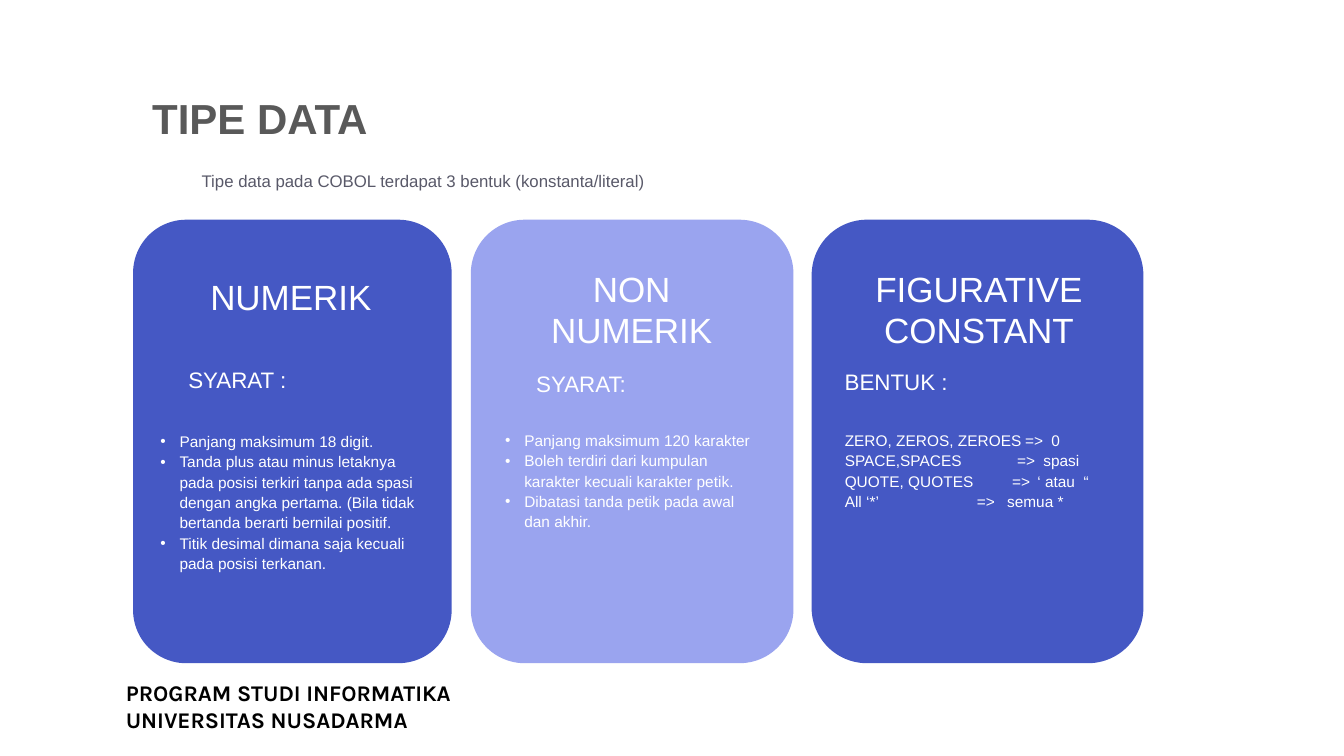
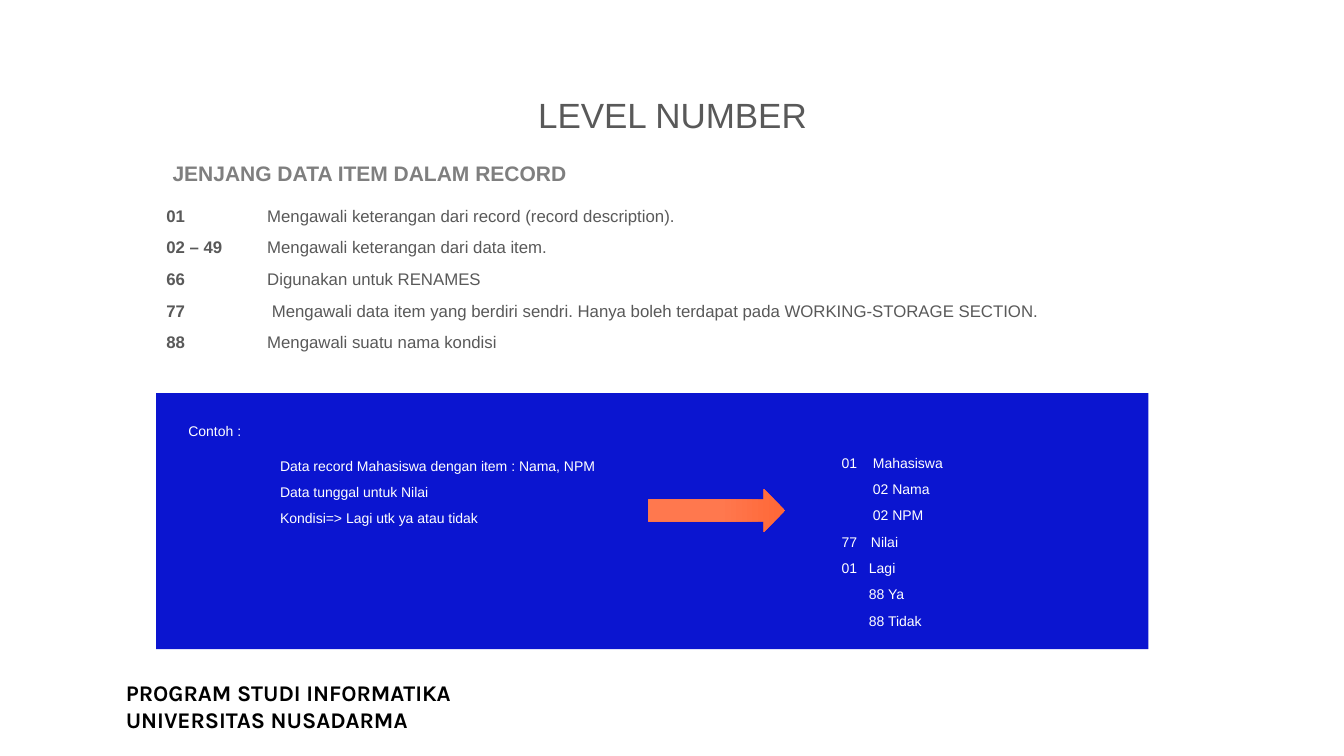
from lxml.etree import SubElement
from pptx import Presentation
from pptx.dml.color import RGBColor
from pptx.enum.shapes import MSO_SHAPE
from pptx.enum.text import MSO_ANCHOR, MSO_AUTO_SIZE, PP_ALIGN
from pptx.oxml.ns import qn
from pptx.util import Inches, Pt

WHITE = RGBColor(255, 255, 255)
BLACK = RGBColor(0, 0, 0)
GRAY = RGBColor(0x59, 0x59, 0x59)
SLATE = RGBColor(0x59, 0x59, 0x69)
SILVER = RGBColor(0x7F, 0x7F, 0x7F)
INDIGO = RGBColor(0x45, 0x58, 0xC4)
LILAC = RGBColor(0x9A, 0xA4, 0xEF)
BLUE = RGBColor(0x0B, 0x15, 0xD0)
ORANGE = RGBColor(0xFF, 0x67, 0x37)
PEACH = RGBColor(0xFF, 0x78, 0x4E)

FOOTER = ["PROGRAM STUDI INFORMATIKA", "UNIVERSITAS NUSADARMA"]
INTRO = "Tipe data pada COBOL terdapat 3 bentuk (konstanta/literal)"

CARDS = [
    {"left": 1.32, "width": 3.16, "fill": INDIGO,
     "head": ("NUMERIK", (1.9, 2.68, 1.97, 0.52)),
     "sub": ("SYARAT :", (1.77, 3.58, 1.73, 0.37)),
     "area": (1.49, 4.22, 2.78, 2.28),
     "list": [
         "Panjang maksimum 18 digit.",
         "Tanda plus atau minus letaknya pada posisi terkiri tanpa ada spasi "
         "dengan angka pertama. (Bila tidak bertanda berarti bernilai positif.",
         "Titik desimal dimana saja kecuali pada posisi terkanan."]},
    {"left": 4.67, "width": 3.2, "fill": LILAC,
     "head": ("NON NUMERIK", (5.08, 2.6, 2.37, 0.94)),
     "sub": ("SYARAT:", (5.22, 3.62, 1.73, 0.37)),
     "area": (4.91, 4.21, 2.75, 1.47),
     "list": [
         "Panjang maksimum 120 karakter",
         "Boleh terdiri dari kumpulan karakter kecuali karakter petik.",
         "Dibatasi tanda petik pada awal dan akhir."]},
    {"left": 8.05, "width": 3.29, "fill": INDIGO,
     "head": ("FIGURATIVE CONSTANT", (8.28, 2.6, 2.86, 0.94)),
     "sub": ("BENTUK :", (8.28, 3.6, 1.73, 0.37)),
     "area": (8.28, 4.21, 3.58, 1.47),
     "list": [
         "ZERO, ZEROS, ZEROES\t=>\t0",
         "SPACE,SPACES\t=>\tspasi",
         "QUOTE, QUOTES\t=>\t‘ atau\t“",
         "All ‘*’\t=>\tsemua *"],
     "tabs": [(1.79, 2.05), (1.71, 1.97), (1.66, 1.91, 2.37), (1.31, 1.61)]},
]

LEVELS = [
    ("01", "Mengawali keterangan dari record (record description)."),
    ("02 – 49", "Mengawali keterangan dari data item."),
    ("66", "Digunakan untuk RENAMES"),
    ("77", " Mengawali data item yang berdiri sendri. "
           "Hanya boleh terdapat pada WORKING-STORAGE SECTION."),
    ("88", "Mengawali suatu nama kondisi"),
]
CASE = ["Data record Mahasiswa dengan item : Nama, NPM",
        "Data tunggal untuk Nilai", "Kondisi=> Lagi utk ya atau tidak"]
CODE = [("01", "Mahasiswa", 0.31), ("", "02 Nama", 0.31), ("", "02 NPM", 0.31),
        ("77", "Nilai", 0.29), ("01", "Lagi", 0.27), ("", "88 Ya", 0.27),
        ("", "88 Tidak", 0.27)]


def place(shape, area):
    shape.left, shape.top, shape.width, shape.height = map(Inches, area)


def mark(para, dot, stops, held):
    props = para._p.get_or_add_pPr()
    edge = Inches(0.19) if dot else 0
    if dot or held:
        props.set("marL", str(edge))
        props.set("indent", str(-edge))
    if dot:
        tint = SubElement(props, qn("a:buClr"))
        SubElement(tint, qn("a:srgbClr"), val=str(WHITE))
        SubElement(props, qn("a:buFont"), typeface="Arial")
        SubElement(props, qn("a:buChar"), char="•")
    elif held:
        SubElement(props, qn("a:buNone"))
    if stops:
        props.set("defTabSz", str(Inches(stops[0])))
        tabs = SubElement(props, qn("a:tabLst"))
        for stop in stops:
            SubElement(tabs, qn("a:tab"), pos=str(Inches(stop)), algn="l")


def write(shape, lines, size, color, bold=False, font="Arial", align=PP_ALIGN.LEFT,
          lead=1.0, gap=0, dot=False, tabs=None):
    frame = shape.text_frame
    frame.word_wrap = True
    frame.auto_size = MSO_AUTO_SIZE.NONE
    frame.vertical_anchor = MSO_ANCHOR.TOP
    for i, line in enumerate(lines):
        para = frame.paragraphs[0] if i == 0 else frame.add_paragraph()
        para.alignment = align
        para.line_spacing = lead
        para.space_before = Pt(gap if i else 0)
        mark(para, dot, tabs[i] if tabs else (), shape.is_placeholder)
        runs = [(line, bold)] if isinstance(line, str) else line
        for text, heavy in runs:
            run = para.add_run()
            run.text = text
            run.font.name = font
            run.font.size = Pt(size)
            run.font.bold = heavy
            run.font.color.rgb = color


def label(slide, area, lines, size, color, **style):
    box = slide.shapes.add_textbox(*map(Inches, area))
    write(box, lines, size, color, **style)
    return box


def block(slide, kind, area, fill=None):
    shape = slide.shapes.add_shape(kind, *map(Inches, area))
    shape.shadow.inherit = False
    shape.line.fill.background()
    if fill is not None:
        shape.fill.solid()
        shape.fill.fore_color.rgb = fill
    return shape


def title(slide, text, area, size, **style):
    place(slide.shapes.title, area)
    write(slide.shapes.title, [text], size, GRAY, **style)


def footer(deck, slide):
    box = label(slide, (1.15, 6.69, 6.56, 0.64), FOOTER, 16, BLACK,
                bold=True, font="Karla")
    box.element.nvSpPr.cNvPr.set("id", "20")
    deck.slide_master.shapes.element.append(box.element)


def types(deck):
    slide = deck.slides.add_slide(deck.slide_layouts[3])
    footer(deck, slide)
    title(slide, "TIPE DATA", (1.41, 0.87, 3, 0.6), 30, bold=True)
    intro = label(slide, (2, 1.59, 4.6, 0.27), [INTRO], 12, SLATE, lead=1.5)
    frame = intro.text_frame
    frame.margin_left = frame.margin_top = frame.margin_right = frame.margin_bottom = 0
    bodies = [slide.placeholders[1], slide.placeholders[2]]
    for i, card in enumerate(CARDS):
        panel = block(slide, MSO_SHAPE.ROUNDED_RECTANGLE,
                      (card["left"], 2.18, card["width"], 4.4), card["fill"])
        panel.adjustments[0] = 0.167
        head, area = card["head"]
        label(slide, area, [head], 25, WHITE, align=PP_ALIGN.CENTER)
        sub, area = card["sub"]
        label(slide, area, [sub], 16, WHITE)
        if i < len(bodies):
            body = bodies[i]
            place(body, card["area"])
            slide.shapes.element.append(body.element)
            write(body, card["list"], 11, WHITE, lead=1.1, dot=True)
        else:
            label(slide, card["area"], card["list"], 11, WHITE, lead=1.1,
                  tabs=card["tabs"])


def levels(deck):
    slide = deck.slides.add_slide(deck.slide_layouts[1])
    title(slide, "LEVEL NUMBER", (4.22, 0.88, 4.9, 0.52), 25, align=PP_ALIGN.CENTER)
    label(slide, (1.42, 1.54, 4.49, 0.35), ["JENJANG DATA ITEM DALAM RECORD"],
          15, SILVER, bold=True, align=PP_ALIGN.CENTER)
    body = slide.placeholders[1]
    place(body, (1.55, 1.91, 10.34, 1.65))
    rows = [[(code, True), ("\t" + text, False)] for code, text in LEVELS]
    write(body, rows, 12, GRAY, lead=1.4, gap=2.4, tabs=[(1,)] * len(rows))
    block(slide, MSO_SHAPE.RECTANGLE, (1.55, 3.9, 9.84, 2.54), BLUE)
    label(slide, (1.77, 4.08, 8.72, 0.31), ["Contoh :"], 10, WHITE, lead=1.4)
    label(slide, (2.68, 4.42, 3.54, 1.09), CASE, 10, WHITE, lead=1.4, gap=2)
    label(slide, (8.25, 4.39, 1.72, 1.93), [f"{code}\t{text}" for code, text, _ in CODE],
          10, WHITE, lead=1.4, gap=2, tabs=[(stop,) for _, _, stop in CODE])
    arrow = block(slide, MSO_SHAPE.RIGHT_ARROW, (6.43, 4.85, 1.36, 0.43))
    arrow.fill.gradient()
    arrow.fill.gradient_angle = 180
    for stop, color, share in zip(arrow.fill.gradient_stops, (ORANGE, PEACH), (0, 0.48)):
        stop.color.rgb = color
        stop.position = share


def main():
    deck = Presentation()
    deck.slide_width, deck.slide_height = Inches(13.33), Inches(7.5)
    types(deck)
    levels(deck)
    deck.save("out.pptx")


if __name__ == "__main__":
    main()
